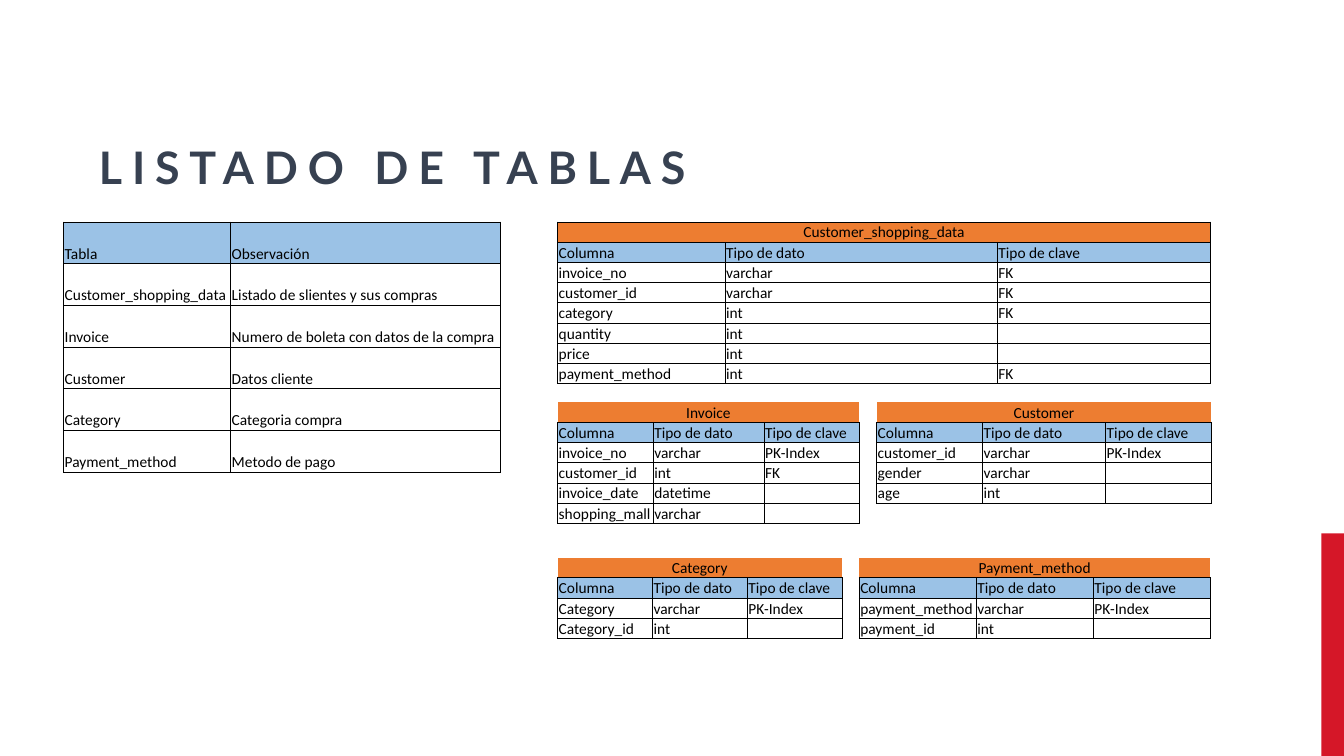
from lxml import etree
from pptx import Presentation
from pptx.dml.color import RGBColor
from pptx.enum.shapes import MSO_SHAPE
from pptx.enum.text import MSO_ANCHOR, MSO_AUTO_SIZE, PP_ALIGN
from pptx.oxml.ns import qn
from pptx.util import Cm, Pt

RECTANGLE = MSO_SHAPE.RECTANGLE
BOTTOM = MSO_ANCHOR.BOTTOM
NO_AUTOFIT = MSO_AUTO_SIZE.NONE
LEFT, CENTER = PP_ALIGN.LEFT, PP_ALIGN.CENTER

BLACK, SLATE, RED = "000000", "374151", "D51728"
ORANGE, BLUE = "ED7D31", "9BC2E6"
TITLE_LAYOUT = 5
ROW_HEIGHT = 0.51
TABLE_GAP = 0.43
SCHEMA_LEFT = 14.05
SIDES = ("L", "R", "T", "B")
SCHEMA_HEADER = ("Columna", "Tipo de dato", "Tipo de clave")

SUMMARY = (
    ("Tabla", "Observación"),
    ("Customer_shopping_data", "Listado de slientes y sus compras"),
    ("Invoice", "Numero de boleta con datos de la compra"),
    ("Customer", "Datos cliente"),
    ("Category", "Categoria compra"),
    ("Payment_method", "Metodo de pago"),
)

SCHEMA_ROWS = (
    (5.59, SIDES, (
        ("Customer_shopping_data", (4.22, 6.86, 5.38), (
            ("invoice_no", "varchar", "FK"),
            ("customer_id", "varchar", "FK"),
            ("category", "int", "FK"),
            ("quantity", "int", ""),
            ("price", "int", ""),
            ("payment_method", "int", "FK"),
        )),
    )),
    (10.13, ("B",), (
        ("Invoice", (2.41, 2.79, 2.41), (
            ("invoice_no", "varchar", "PK-Index"),
            ("customer_id", "int", "FK"),
            ("invoice_date", "datetime", ""),
            ("shopping_mall", "varchar", ""),
        )),
        ("Customer", (2.67, 3.1, 2.67), (
            ("customer_id", "varchar", "PK-Index"),
            ("gender", "varchar", ""),
            ("age", "int", ""),
        )),
    )),
    (14.05, ("B",), (
        ("Category", (2.39, 2.39, 2.39), (
            ("Category", "varchar", "PK-Index"),
            ("Category_id", "int", ""),
        )),
        ("Payment_method", (2.95, 2.95, 2.95), (
            ("payment_method", "varchar", "PK-Index"),
            ("payment_id", "int", ""),
        )),
    )),
)


def color(value):
    """Turn a hex string into a colour."""
    return RGBColor.from_string(value)


def add_text(paragraph, text, font_name, size, hex_color):
    """Add one formatted run and return it."""
    run = paragraph.add_run()
    run.text = text
    run.font.name = font_name
    run.font.size = Pt(size)
    run.font.color.rgb = color(hex_color)
    return run


def set_borders(cell, visible_sides):
    """Draw thin black lines on the visible sides and none on the others."""
    properties = cell._tc.get_or_add_tcPr()
    for side in SIDES:
        line = etree.SubElement(properties, qn(f"a:ln{side}"), w=str(Pt(0.5)))
        if side in visible_sides:
            fill = etree.SubElement(line, qn("a:solidFill"))
            etree.SubElement(fill, qn("a:srgbClr"), val=BLACK)
        else:
            etree.SubElement(line, qn("a:noFill"))


def format_cell(cell, text, fill, alignment=LEFT, borders=SIDES):
    """Write and style one table cell."""
    cell.margin_left = cell.margin_right = cell.margin_top = Cm(0.03)
    cell.margin_bottom = Cm(0)
    cell.vertical_anchor = BOTTOM
    set_borders(cell, borders)
    if fill:
        cell.fill.solid()
        cell.fill.fore_color.rgb = color(fill)
    else:
        cell.fill.background()
    paragraph = cell.text_frame.paragraphs[0]
    paragraph.alignment = alignment
    if text:
        add_text(paragraph, text, "Calibri", 11, BLACK)
    else:
        etree.SubElement(paragraph._p, qn("a:endParaRPr"), sz="1100")


def add_plain_table(slide, left, top, widths, row_height, row_count):
    """Add an unbanded table with the given column widths."""
    shape = slide.shapes.add_table(row_count, len(widths), Cm(left), Cm(top),
                                   Cm(sum(widths)), Cm(row_height * row_count))
    table = shape.table
    table.first_row = table.horz_banding = False
    for column, width in zip(table.columns, widths):
        column.width = Cm(width)
    for row in table.rows:
        row.height = Cm(row_height)
    return table


def fill_rows(table, rows, first=0):
    """Fill a blue header row and the plain rows below it."""
    for row_index, row in enumerate(rows):
        for column_index, text in enumerate(row):
            cell = table.cell(first + row_index, column_index)
            format_cell(cell, text, None if row_index else BLUE)


def add_summary(slide, left, top, widths, row_height):
    """Add the list of tables with their remarks."""
    table = add_plain_table(slide, left, top, widths, row_height, len(SUMMARY))
    fill_rows(table, SUMMARY)


def add_schema(slide, left, top, name, widths, fields, name_borders):
    """Add one schema table headed by its merged name row."""
    rows = (SCHEMA_HEADER,) + fields
    table = add_plain_table(slide, left, top, widths, ROW_HEIGHT, len(rows) + 1)
    last = len(widths) - 1
    table.cell(0, 0).merge(table.cell(0, last))
    for column_index in range(len(widths)):
        text = "" if column_index else name
        format_cell(table.cell(0, column_index), text, ORANGE, CENTER, name_borders)
    fill_rows(table, rows, 1)


def add_schema_row(slide, left, top, name_borders, schemas):
    """Place schema tables side by side with equal gaps."""
    for name, widths, fields in schemas:
        add_schema(slide, left, top, name, widths, fields, name_borders)
        left += sum(widths) + TABLE_GAP


def add_title(slide, left, top, width, height):
    """Place and format the slide title."""
    title = slide.shapes.title
    title.left, title.top = Cm(left), Cm(top)
    title.width, title.height = Cm(width), Cm(height)
    frame = title.text_frame
    frame.auto_size = NO_AUTOFIT
    frame.word_wrap = True
    frame.vertical_anchor = BOTTOM
    paragraph = frame.paragraphs[0]
    paragraph.alignment = LEFT
    paragraph.line_spacing = 1.2
    run = add_text(paragraph, "LISTADO DE TABLAS", "Lato", 32, SLATE)
    run.font.bold = True
    run.font._element.set("spc", "700")


def add_accent_bar(slide, left, top, width, height):
    """Add the red bar at the slide edge."""
    bar = slide.shapes.add_shape(RECTANGLE, Cm(left), Cm(top), Cm(width), Cm(height))
    bar.shadow.inherit = False
    bar.fill.solid()
    bar.fill.fore_color.rgb = color(RED)
    bar.line.fill.background()


def main():
    """Build and save the presentation."""
    presentation = Presentation()
    presentation.slide_width, presentation.slide_height = Cm(33.87), Cm(19.05)
    slide = presentation.slides.add_slide(presentation.slide_layouts[TITLE_LAYOUT])
    add_accent_bar(slide, 33.3, 13.44, 0.57, 5.61)
    add_title(slide, 2.24, 1.02, 28.78, 3.99)
    add_summary(slide, 1.6, 5.59, (4.21, 6.8), 1.05)
    for top, name_borders, schemas in SCHEMA_ROWS:
        add_schema_row(slide, SCHEMA_LEFT, top, name_borders, schemas)
    presentation.save("out.pptx")


if __name__ == "__main__":
    main()
